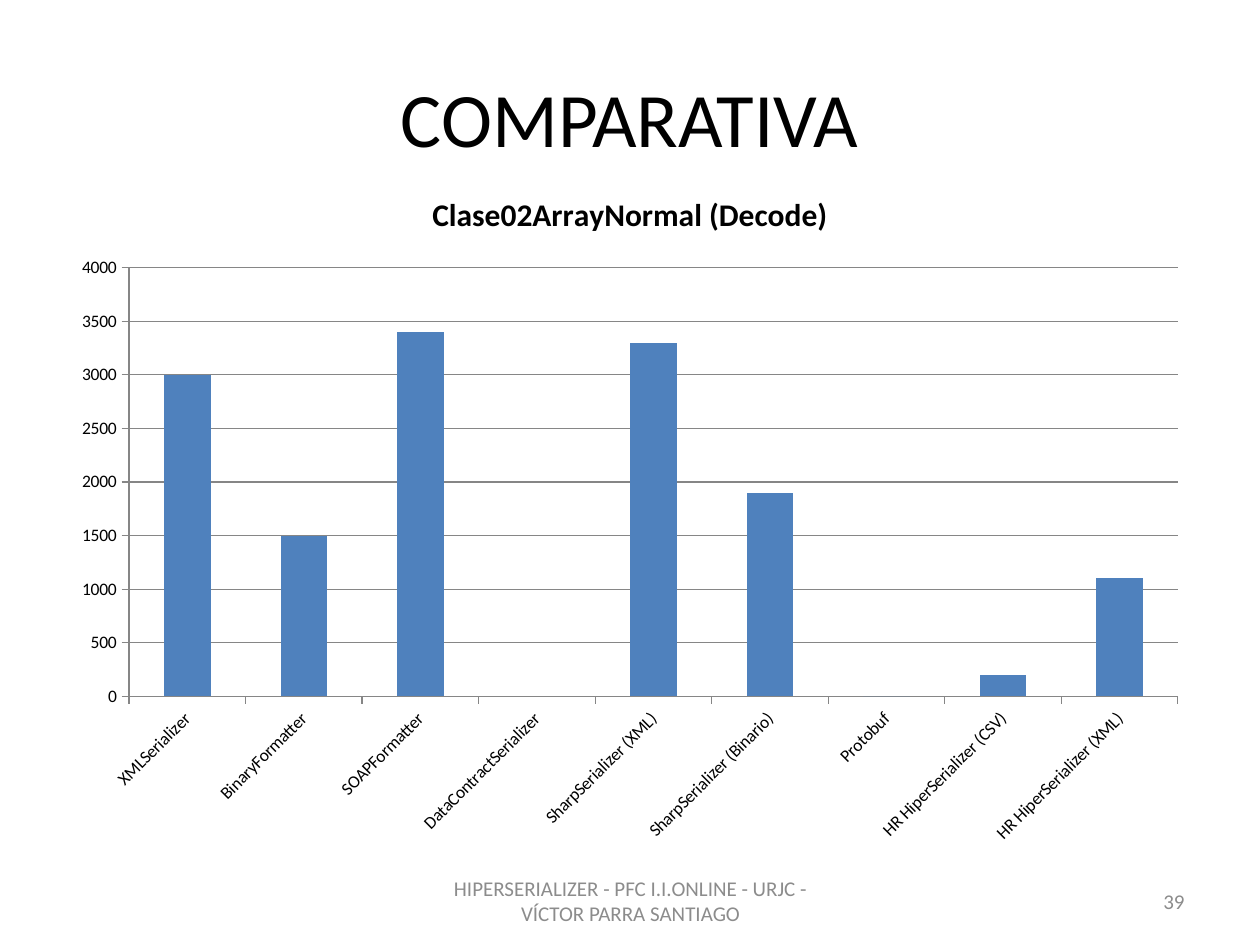
import pptx
import pptx.chart.data
import pptx.dml.color
import pptx.enum.chart
import pptx.enum.text
import pptx.util
from pptx.util import Inches

ALIGN = pptx.enum.text.PP_ALIGN
TICK = pptx.enum.chart.XL_TICK_MARK

DECODE_RESULTS = {
    "XMLSerializer": 3000,
    "BinaryFormatter": 1500,
    "SOAPFormatter": 3400,
    "DataContractSerializer": None,
    "SharpSerializer (XML)": 3300,
    "SharpSerializer (Binario)": 1900,
    "Protobuf": 0,
    "HR HiperSerializer (CSV)": 200,
    "HR HiperSerializer (XML)": 1100,
}


def rgb(hex_code):
    return pptx.dml.color.RGBColor.from_string(hex_code)


class SlideBuilder:
    """Holds the style and the current slide."""

    typeface = "Calibri"
    ink = "000000"
    muted = "8C8C8C"
    rule = "868686"
    bar = "4F81BD"

    def __init__(self, presentation):
        self.slide = presentation.slides.add_slide(presentation.slide_layouts[6])

    def style_font(self, font, size, color, bold=False):
        font.name = self.typeface
        font.size = pptx.util.Pt(size)
        font.bold = bold
        font.color.rgb = rgb(color)

    def text(self, wording, left, top, width, height, size, color, align):
        box = self.slide.shapes.add_textbox(
            Inches(left), Inches(top), Inches(width), Inches(height))
        frame = box.text_frame
        frame.word_wrap = True
        frame.vertical_anchor = pptx.enum.text.MSO_ANCHOR.MIDDLE
        paragraph = frame.paragraphs[0]
        paragraph.text = wording
        paragraph.alignment = align
        self.style_font(paragraph.font, size, color)

    def rule_line(self, line):
        line.color.rgb = rgb(self.rule)
        line.width = pptx.util.Pt(0.75)

    def column_chart(self, title, results, left, top, width, height):
        data = pptx.chart.data.CategoryChartData()
        data.categories = results.keys()
        data.add_series(title, results.values())
        chart = self.slide.shapes.add_chart(
            pptx.enum.chart.XL_CHART_TYPE.COLUMN_CLUSTERED,
            Inches(left), Inches(top), Inches(width), Inches(height), data).chart
        self.style_font(chart.font, 10, self.ink)
        chart.has_legend = False

        chart.has_title = True
        chart.chart_title.include_in_layout = False
        heading = chart.chart_title.text_frame.paragraphs[0]
        heading.text = title
        self.style_font(heading.font, 18, self.ink, bold=True)

        plot = chart.plots[0]
        plot.vary_by_categories = False
        plot.gap_width = 150
        fill = plot.series[0].format.fill
        fill.solid()
        fill.fore_color.rgb = rgb(self.bar)

        for axis in (chart.category_axis, chart.value_axis):
            axis.major_tick_mark = TICK.OUTSIDE
            axis.minor_tick_mark = TICK.NONE
            self.rule_line(axis.format.line)
            self.style_font(axis.tick_labels.font, 10, self.ink)
        slanted = chart.category_axis._element.txPr.bodyPr
        slanted.set("rot", "-2700000")
        slanted.set("vert", "horz")

        values = chart.value_axis
        values.minimum_scale, values.maximum_scale, values.major_unit = 0, 4000, 500
        values.has_major_gridlines = True
        self.rule_line(values.major_gridlines.format.line)


def main():
    presentation = pptx.Presentation()
    presentation.slide_width = Inches(10)
    presentation.slide_height = Inches(7.5)

    builder = SlideBuilder(presentation)
    builder.text("COMPARATIVA", 0.5, 0.3, 9, 1.25, 44, builder.ink, ALIGN.CENTER)
    builder.text("HIPERSERIALIZER - PFC I.I.ONLINE - URJC - VÍCTOR PARRA SANTIAGO",
                 3.42, 6.95, 3.17, 0.4, 12, builder.muted, ALIGN.CENTER)
    builder.text("39", 7.17, 6.95, 2.33, 0.4, 12, builder.muted, ALIGN.RIGHT)
    builder.column_chart("Clase02ArrayNormal (Decode)", DECODE_RESULTS,
                         0.47, 1.32, 9.06, 5.48)
    presentation.save("out.pptx")


if __name__ == "__main__":
    main()
